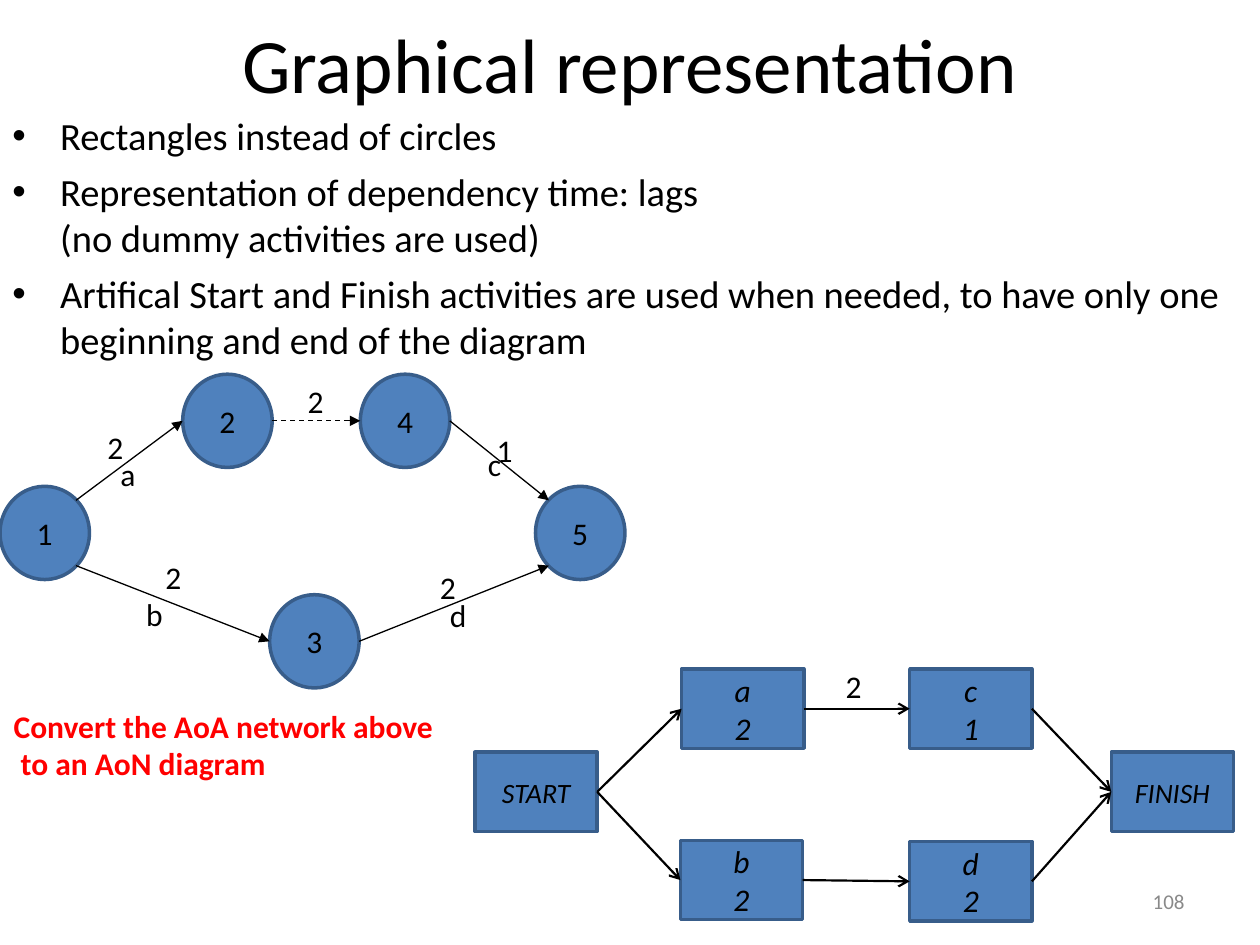
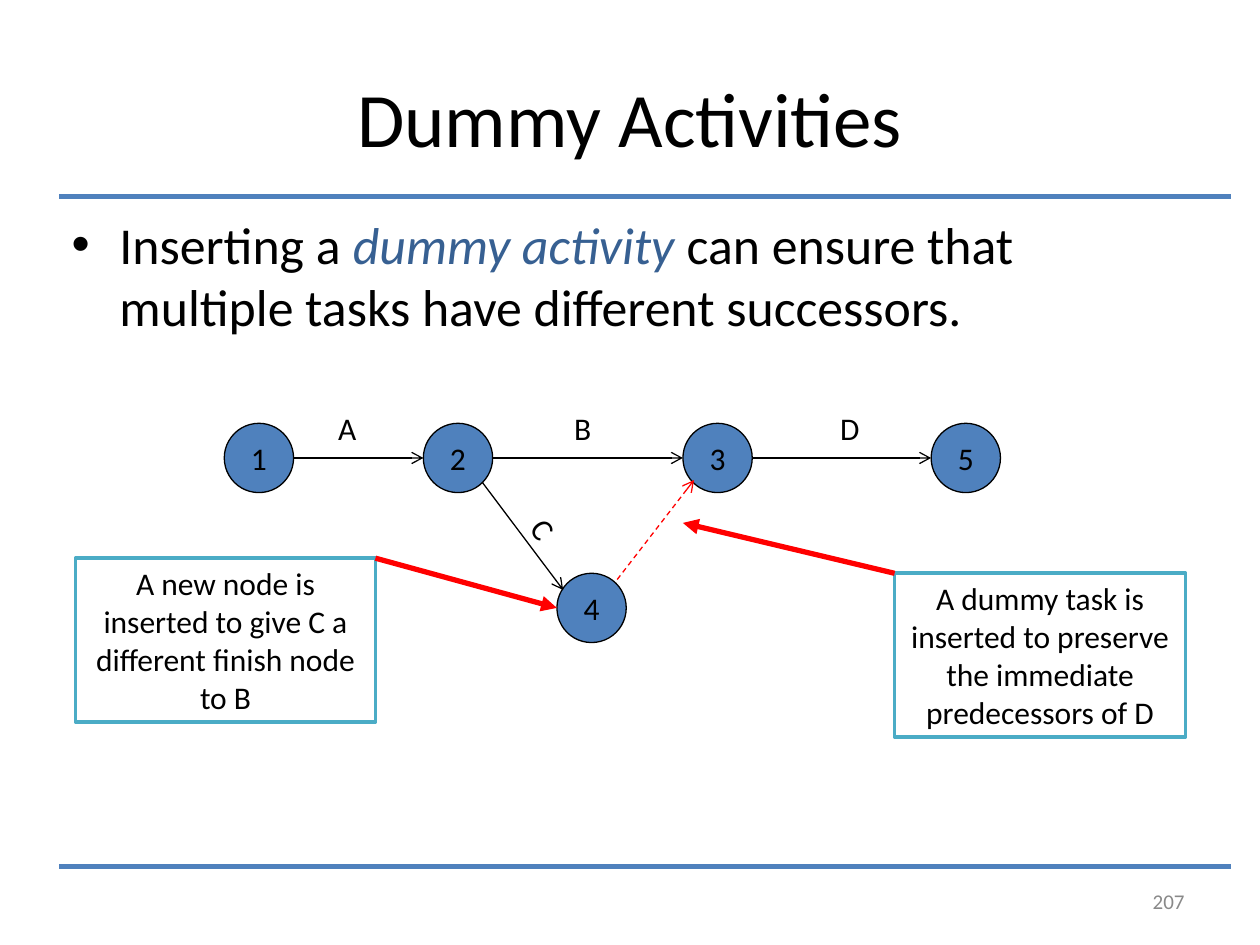
from lxml import etree
from pptx import Presentation
from pptx import util as u
from pptx.dml.color import RGBColor
from pptx.enum import dml, shapes, text
from pptx.oxml import ns

BLACK = RGBColor(0x00, 0x00, 0x00)
WHITE = RGBColor(0xFF, 0xFF, 0xFF)
BLUE = RGBColor(0x4F, 0x81, 0xBD)
DARK_BLUE = RGBColor(0x38, 0x5D, 0x8A)
ACCENT_BLUE = RGBColor(0x37, 0x60, 0x92)
TEAL = RGBColor(0x4B, 0xAC, 0xC6)
RED = RGBColor(0xFF, 0x00, 0x00)
GREY = RGBColor(0x89, 0x89, 0x89)

FONT = "Calibri"
TITLE_ONLY = 5
BULLET_INDENT = u.Inches(0.38)

LEFT, RIGHT = (0, 0.5), (1, 0.5)
TOP_LEFT, TOP_RIGHT = (0, 0), (1, 0)
UPPER_LEFT, UPPER_RIGHT = (0.15, 0.15), (0.85, 0.15)
LOWER_LEFT, LOWER_RIGHT = (0.15, 0.85), (0.85, 0.85)

RECTANGLE = shapes.MSO_SHAPE.RECTANGLE
CONNECTOR_NODE = shapes.MSO_SHAPE.FLOWCHART_CONNECTOR
OVAL = shapes.MSO_SHAPE.OVAL
CENTER = text.PP_ALIGN.CENTER
MIDDLE = text.MSO_ANCHOR.MIDDLE
TOP = text.MSO_ANCHOR.TOP


def port(shape, position):
    return (shape.left + int(shape.width * position[0]),
            shape.top + int(shape.height * position[1]))


class Deck:
    def __init__(self):
        self.presentation = Presentation()
        self.presentation.slide_width = u.Inches(10)
        self.presentation.slide_height = u.Inches(7.5)
        self.slide = None

    def new_slide(self, title, top, height, number):
        layout = self.presentation.slide_layouts[TITLE_ONLY]
        self.slide = self.presentation.slides.add_slide(layout)
        shape = self.slide.shapes.title
        shape.left, shape.top = u.Inches(0.5), u.Inches(top)
        shape.width, shape.height = u.Inches(9), u.Inches(height)
        self.set_text(shape, [title], 44, align=CENTER, anchor=MIDDLE)
        self.text_box((7.17, 6.95, 2.33, 0.4), [str(number)], 12, colour=GREY,
                      align=text.PP_ALIGN.RIGHT, anchor=MIDDLE)

    def set_text(self, shape, paragraphs, size, colour=BLACK, bold=False,
                 italic=False, align=None, anchor=TOP, wrap=True):
        frame = shape.text_frame
        frame.word_wrap = wrap
        frame.vertical_anchor = anchor
        for index, content in enumerate(paragraphs):
            paragraph = frame.add_paragraph() if index else frame.paragraphs[0]
            paragraph.alignment = align
            runs = [(content, {})] if isinstance(content, str) else content
            for words, changes in runs:
                style = {"colour": colour, "bold": bold, "italic": italic, **changes}
                self.add_run(paragraph, words, size, **style)

    def add_run(self, paragraph, words, size, colour, bold, italic):
        for index, line in enumerate(words.split("\n")):
            if index:
                paragraph.add_line_break()
            run = paragraph.add_run()
            run.text = line
            run.font.name = FONT
            run.font.size = u.Pt(size)
            run.font.bold = bold
            run.font.italic = italic
            run.font.color.rgb = colour

    def text_box(self, box, paragraphs, size, **style):
        shape = self.slide.shapes.add_textbox(*map(u.Inches, box))
        self.set_text(shape, paragraphs, size, **style)
        return shape

    def bullets(self, box, paragraphs, size, space_before):
        shape = self.text_box(box, paragraphs, size)
        for paragraph in shape.text_frame.paragraphs:
            paragraph.space_before = u.Pt(space_before)
            properties = paragraph._p.get_or_add_pPr()
            properties.set("marL", str(BULLET_INDENT))
            properties.set("indent", str(-BULLET_INDENT))
            font = etree.SubElement(properties, ns.qn("a:buFont"))
            font.set("typeface", "Arial")
            bullet = etree.SubElement(properties, ns.qn("a:buChar"))
            bullet.set("char", "•")

    def label(self, words, left, top, rotation=0):
        shape = self.text_box((left, top, 0.39, 0.34), [words], 18,
                              align=CENTER, anchor=MIDDLE)
        shape.rotation = rotation

    def box(self, kind, box, paragraphs, size=18, fill=BLUE, outline=DARK_BLUE,
            weight=2, anchor=MIDDLE, italic=False):
        shape = self.slide.shapes.add_shape(kind, *map(u.Inches, box))
        shape.shadow.inherit = False
        shape.fill.solid()
        shape.fill.fore_color.rgb = fill
        shape.line.color.rgb = outline
        shape.line.width = u.Pt(weight)
        self.set_text(shape, paragraphs, size, italic=italic, align=CENTER, anchor=anchor)
        return shape

    def callout(self, box, words):
        return self.box(RECTANGLE, box, [words], fill=WHITE, outline=TEAL, anchor=TOP)

    def line(self, start, end, colour=BLACK, weight=0.75, head=None, dashed=False):
        connector = self.slide.shapes.add_connector(
            shapes.MSO_CONNECTOR.STRAIGHT, *start, *end)
        connector.line.color.rgb = colour
        connector.line.width = u.Pt(weight)
        if dashed:
            connector.line.dash_style = dml.MSO_LINE.DASH
        if head:
            outline = connector._element.spPr.find(ns.qn("a:ln"))
            tail_end = etree.SubElement(outline, ns.qn("a:tailEnd"))
            tail_end.set("type", head)
        etree.SubElement(connector._element.spPr, ns.qn("a:effectLst"))

    def arrow(self, source, source_port, target, target_port, head="arrow", **style):
        self.line(port(source, source_port), port(target, target_port), head=head, **style)

    def rule(self, top):
        self.line((u.Inches(0.47), u.Inches(top)), (u.Inches(9.77), u.Inches(top)),
                  colour=BLUE, weight=3)


def graphical_representation(deck):
    deck.new_slide("Graphical representation", 0, 1, 108)
    deck.bullets((0, 0.84, 10, 2.1), [
        "Rectangles instead of circles",
        "Representation of dependency time: lags\n(no dummy activities are used)",
        "Artifical Start and Finish activities are used when needed, "
        "to have only one beginning and end of the diagram",
    ], 22, 5.5)

    activities = {}
    for name, duration, left, top in [
        ("a", "2", 5.41, 5.31), ("b", "2", 5.4, 6.67),
        ("c", "1", 7.22, 5.31), ("d", "2", 7.22, 6.68),
    ]:
        activities[name] = deck.box(RECTANGLE, (left, top, 0.97, 0.63),
                                    [name, duration], italic=True)
    for name, left in [("START", 3.77), ("FINISH", 8.82)]:
        activities[name] = deck.box(RECTANGLE, (left, 5.97, 0.97, 0.63), [name],
                                    size=16, italic=True)
    for source, target in [("START", "a"), ("a", "c"), ("START", "b"),
                           ("b", "d"), ("c", "FINISH"), ("d", "FINISH")]:
        deck.arrow(activities[source], RIGHT, activities[target], LEFT, weight=1.25)
    deck.label("2", 6.58, 5.27)

    events = {}
    for number, left, top in [(1, 0, 3.86), (2, 1.45, 2.97), (3, 2.14, 4.72),
                              (4, 2.86, 2.97), (5, 4.25, 3.86)]:
        events[number] = deck.box(CONNECTOR_NODE, (left, top, 0.71, 0.74), [str(number)])
    for source, source_port, target, target_port in [
        (1, UPPER_RIGHT, 2, LEFT), (1, LOWER_RIGHT, 3, LEFT),
        (2, RIGHT, 4, LEFT), (3, RIGHT, 5, LOWER_LEFT), (4, RIGHT, 5, UPPER_LEFT),
    ]:
        deck.arrow(events[source], source_port, events[target], target_port,
                   head="triangle", dashed=(source, target) == (2, 4))
    for words, left, top in [
        ("a", 0.82, 3.59), ("b", 1.03, 4.7), ("c", 3.73, 3.51), ("d", 3.44, 4.71),
        ("2", 0.72, 3.38), ("2", 1.18, 4.41), ("1", 3.81, 3.4), ("2", 3.36, 4.49),
        ("2", 2.31, 3.01),
    ]:
        deck.label(words, left, top)
    deck.text_box((0.01, 5.56, 3.6, 0.7),
                  ["Convert the AoA network above \n to an AoN diagram"],
                  18, colour=RED, bold=True, wrap=False)


def dummy_activities(deck):
    deck.new_slide("Dummy Activities", 0.3, 1.25, 207)
    for top in (1.56, 6.88):
        deck.rule(top)
    deck.bullets((0.47, 1.64, 8.17, 1.17), [[
        ("Inserting a ", {}),
        ("dummy activity ", {"colour": ACCENT_BLUE, "italic": True}),
        ("can ensure that multiple tasks have different successors.", {}),
    ]], 29.6, 8)

    nodes = {}
    for number, left, top in [(1, 1.78, 3.36), (2, 3.36, 3.36), (3, 5.42, 3.36),
                              (5, 7.39, 3.36), (4, 4.42, 4.55)]:
        nodes[number] = deck.box(OVAL, (left, top, 0.55, 0.55), [str(number)],
                                 outline=BLACK, weight=0.75)
    for source, target in [(1, 2), (2, 3), (3, 5)]:
        deck.arrow(nodes[source], RIGHT, nodes[target], LEFT)
    deck.arrow(nodes[2], LOWER_RIGHT, nodes[4], (0.09, 0.24))
    deck.arrow(nodes[4], (0.87, 0.09), nodes[3], (0.16, 0.82), colour=RED, dashed=True)
    for words, left in [("A", 2.56), ("B", 4.43), ("D", 6.55)]:
        deck.label(words, left, 3.23)
    deck.label("C", 4.12, 4.03, rotation=54.2)

    new_node = deck.callout((0.6, 4.43, 2.38, 1.3),
                            "A new node is inserted to give C a different finish node to B")
    dummy_task = deck.callout((7.1, 4.55, 2.31, 1.3),
                              "A dummy task is inserted to preserve the immediate "
                              "predecessors of D")
    deck.arrow(new_node, TOP_RIGHT, nodes[4], LEFT, head="triangle", colour=RED, weight=3)
    deck.line(port(dummy_task, TOP_LEFT), (u.Inches(5.42), u.Inches(4.15)),
              head="triangle", colour=RED, weight=3)


def main():
    deck = Deck()
    graphical_representation(deck)
    dummy_activities(deck)
    deck.presentation.save("out.pptx")


if __name__ == "__main__":
    main()
